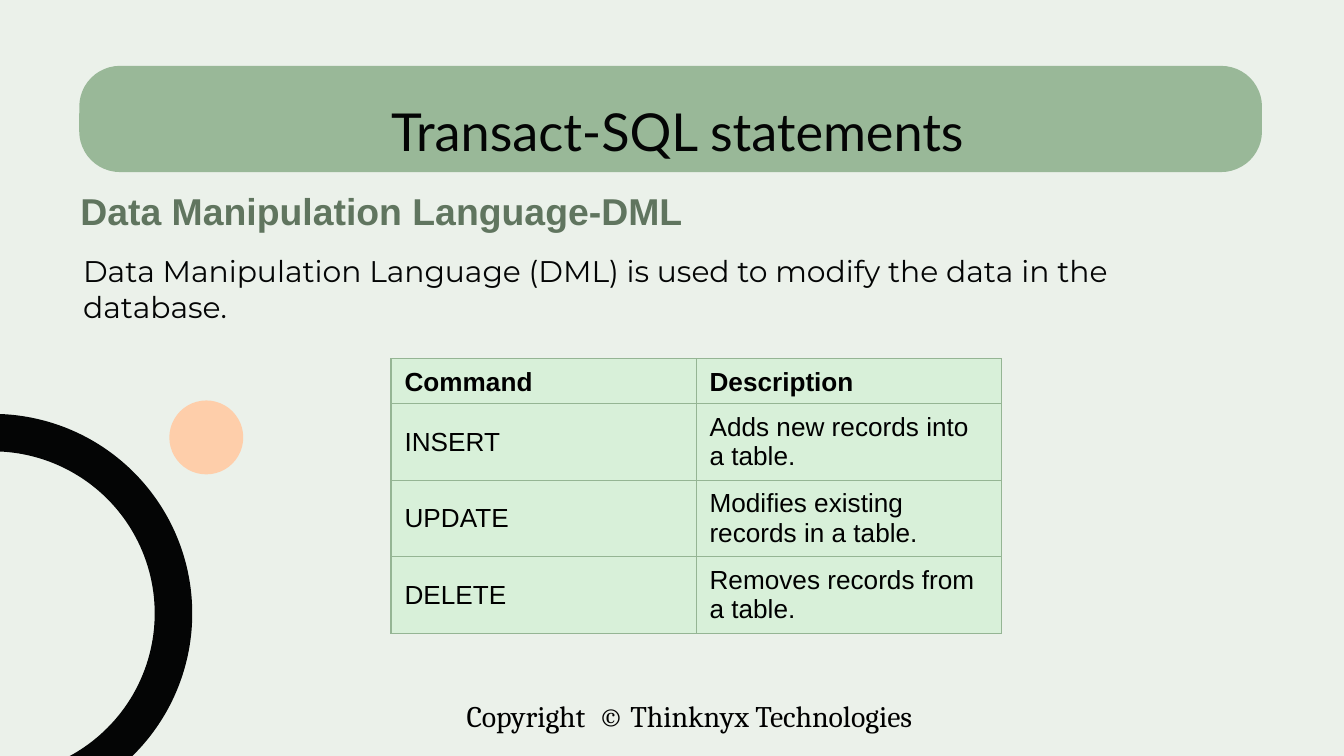
"""Build the Transact-SQL statements slide about DML commands."""
from lxml import etree
from pptx import Presentation
from pptx.dml.color import RGBColor
from pptx.enum.shapes import MSO_SHAPE
from pptx.enum.text import MSO_ANCHOR, PP_ALIGN
from pptx.oxml.ns import qn
from pptx.util import Inches, Pt

LEFT, CENTER = PP_ALIGN.LEFT, PP_ALIGN.CENTER
TOP, MIDDLE, BOTTOM = MSO_ANCHOR.TOP, MSO_ANCHOR.MIDDLE, MSO_ANCHOR.BOTTOM

BACKGROUND = RGBColor(0xEB, 0xF1, 0xEA)
SAGE = RGBColor(0x99, 0xB8, 0x98)
INK = RGBColor(0x04, 0x05, 0x05)
BLACK = RGBColor(0x00, 0x00, 0x00)
PEACH = RGBColor(0xFE, 0xCE, 0xAA)
MOSS = RGBColor(0x60, 0x75, 0x5F)
MINT = RGBColor(0xD8, 0xF0, 0xD9)
BORDER = RGBColor(0x95, 0xB5, 0x94)

WIDTH = 10
HEIGHT = WIDTH * 9 / 16
MARGIN = 0.5
COLUMN_WIDTH = 2.27
HEADER_HEIGHT, ROW_HEIGHT = 0.33, 0.57
TABLE_LEFT, TABLE_TOP = 2.91, 2.67

SHAPES = [
    (MSO_SHAPE.ROUNDED_RECTANGLE, (0.59, 0.49, 8.8, 0.79), SAGE, 0, [0.384]),
    (MSO_SHAPE.BLOCK_ARC, (-1.54, 3.08, 2.97, 2.97), INK, 90, [108, 0.001, 0.094]),
    (MSO_SHAPE.OVAL, (1.26, 2.98, 0.55, 0.55), PEACH, 0, []),
]

TITLE = ("Transact-SQL statements", (0.82, 0.67, 8.44, 0.47), "Lato", 28, INK)
HEADING = ("Data Manipulation Language-DML", (MARGIN, 1.35, 5.5, 0.44), "Arial", 20, MOSS)
BODY = (
    "Data Manipulation Language (DML) is used to modify the data in the database.",
    (0.52, 1.83, 8.95, 0.64), "Montserrat", 16, INK,
)
COPYRIGHT = ("Copyright  © Thinknyx Technologies", (3.14, 5.14, 3.98, 0.37), "Cambria", 16, BLACK)

COMMANDS = [
    ("Command", "Description"),
    ("INSERT", "Adds new records into a table."),
    ("UPDATE", "Modifies existing records in a table."),
    ("DELETE", "Removes records from a table."),
]


def inches(box):
    return [Inches(length) for length in box]


def style_font(paragraph, name, size, color, bold=False):
    for run in paragraph.runs:
        run.font.name = name
        run.font.size = Pt(size)
        run.font.bold = bold
        run.font.color.rgb = color


def add_filled_shape(slide, kind, box, color, rotation, adjustments):
    shape = slide.shapes.add_shape(kind, *inches(box))
    shape.shadow.inherit = False
    shape.fill.solid()
    shape.fill.fore_color.rgb = color
    shape.line.fill.background()
    shape.rotation = rotation
    for index, value in enumerate(adjustments):
        shape.adjustments[index] = value


def add_text(slide, content, align=LEFT, anchor=TOP, bold=False, wrap=True):
    text, box, font, size, color = content
    text_frame = slide.shapes.add_textbox(*inches(box)).text_frame
    text_frame.text = text
    text_frame.word_wrap = wrap
    text_frame.vertical_anchor = anchor
    paragraph = text_frame.paragraphs[0]
    paragraph.alignment = align
    style_font(paragraph, font, size, color, bold)
    return text_frame


def add_borders(cell):
    properties = cell._tc.get_or_add_tcPr()
    for position, side in enumerate(("a:lnL", "a:lnR", "a:lnT", "a:lnB")):
        line = etree.Element(qn(side), w=str(Pt(0.75)))
        fill = etree.SubElement(line, qn("a:solidFill"))
        etree.SubElement(fill, qn("a:srgbClr"), val=str(BORDER))
        properties.insert(position, line)


def add_command_table(slide):
    row_count, column_count = len(COMMANDS), len(COMMANDS[0])
    heights = [HEADER_HEIGHT] + [ROW_HEIGHT] * (row_count - 1)
    box = (TABLE_LEFT, TABLE_TOP, COLUMN_WIDTH * column_count, sum(heights))
    table = slide.shapes.add_table(row_count, column_count, *inches(box)).table
    for column in table.columns:
        column.width = Inches(COLUMN_WIDTH)
    for row_index, texts in enumerate(COMMANDS):
        is_header = row_index == 0
        table.rows[row_index].height = Inches(heights[row_index])
        for column_index, text in enumerate(texts):
            cell = table.cell(row_index, column_index)
            cell.text_frame.text = text
            cell.vertical_anchor = BOTTOM if is_header else MIDDLE
            cell.fill.solid()
            cell.fill.fore_color.rgb = MINT
            style_font(cell.text_frame.paragraphs[0], "Arial", 14, BLACK, is_header)
            add_borders(cell)


def main():
    presentation = Presentation()
    presentation.slide_width, presentation.slide_height = inches((WIDTH, HEIGHT))
    slide = presentation.slides.add_slide(presentation.slide_layouts[6])
    slide.background.fill.solid()
    slide.background.fill.fore_color.rgb = BACKGROUND

    for shape in SHAPES:
        add_filled_shape(slide, *shape)

    title_frame = add_text(slide, TITLE, CENTER, MIDDLE)
    title_frame.margin_left = title_frame.margin_right = 0
    title_frame.margin_top = title_frame.margin_bottom = 0
    title_frame.paragraphs[0].line_spacing = 1.29
    add_text(slide, HEADING, bold=True)
    add_text(slide, BODY)
    add_command_table(slide)
    add_text(slide, COPYRIGHT, CENTER, wrap=False)

    presentation.save("out.pptx")


if __name__ == "__main__":
    main()
